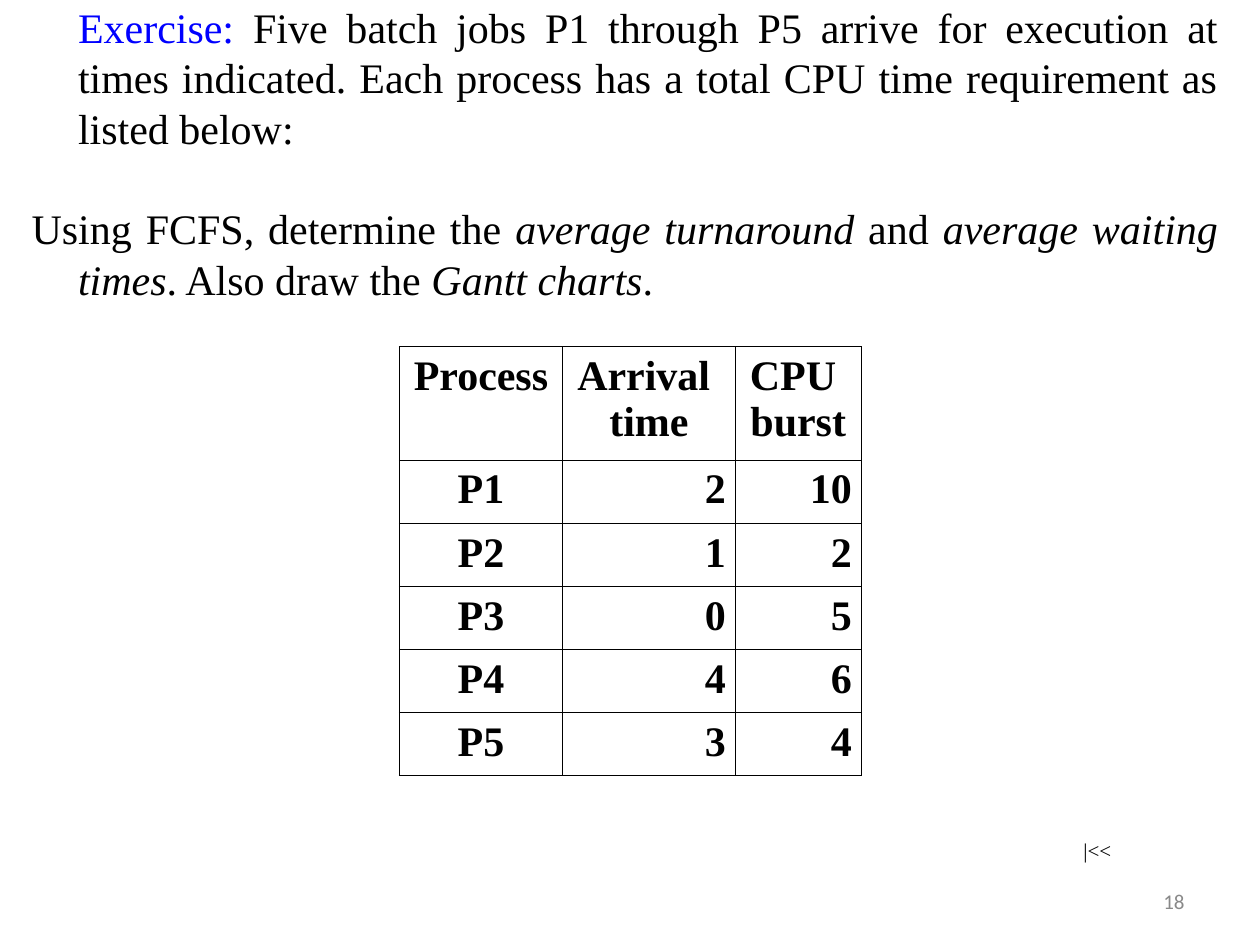
from pptx import Presentation
from pptx.dml.color import RGBColor
from pptx.enum import text
from pptx.oxml import parse_xml
from pptx.oxml.ns import nsdecls
from pptx.util import Pt

COLORS = {"ink": "000000", "accent": "0000FF", "muted": "898989"}
SERIF, SANS = "Times New Roman", "Calibri"
ALIGN = text.PP_ALIGN

EXERCISE = [
    [("Exercise: ", "accent", False),
     ("Five batch jobs P1 through P5 arrive for execution at times indicated. "
      "Each process has a total CPU time requirement as listed below:", "ink", False)],
    [("Using FCFS, determine the ", "ink", False),
     ("average turnaround", "ink", True),
     (" and ", "ink", False),
     ("average waiting times", "ink", True),
     (". Also draw the ", "ink", False),
     ("Gantt charts", "ink", True),
     (".", "ink", False)],
]
JOBS = [
    ("Process", "Arrival \ntime", "CPU \nburst"),
    ("P1", "2", "10"),
    ("P2", "1", "2"),
    ("P3", "0", "5"),
    ("P4", "4", "6"),
    ("P5", "3", "4"),
]
COLUMN_WIDTHS = (93.4, 98.6, 72)
HEADER_HEIGHT, ROW_HEIGHT = 65, 36
LINE_HEIGHT, HANGING = 28.8, 26.6


def style(font, size, color="ink", name=SERIF, bold=False, italic=False):
    font.size, font.name, font.bold, font.italic = Pt(size), name, bold, italic
    font.color.rgb = RGBColor.from_string(COLORS[color])


def add_box(slide, left, top, width, height, margins=(7.2, 3.6, 7.2, 3.6),
            anchor=text.MSO_ANCHOR.TOP, wrap=True):
    shape = slide.shapes.add_textbox(Pt(left), Pt(top), Pt(width), Pt(height))
    frame = shape.text_frame
    frame.word_wrap, frame.vertical_anchor = wrap, anchor
    (frame.margin_left, frame.margin_top,
     frame.margin_right, frame.margin_bottom) = map(Pt, margins)
    return frame


def add_label(frame, label, alignment, **font):
    frame.text = label
    paragraph = frame.paragraphs[0]
    paragraph.alignment = alignment
    style(paragraph.runs[0].font, 12, **font)
    return paragraph


def add_exercise(slide):
    frame = add_box(slide, 0, 0.7, 696, 172.8, (18, 0, 0, 0), text.MSO_ANCHOR.MIDDLE)
    for index, runs in enumerate(EXERCISE):
        paragraph = frame.add_paragraph() if index else frame.paragraphs[0]
        properties = paragraph._p.get_or_add_pPr()
        properties.set("marL", str(Pt(HANGING)))
        properties.set("indent", str(Pt(-HANGING if index else 0)))
        paragraph.alignment = ALIGN.JUSTIFY
        paragraph.line_spacing = Pt(LINE_HEIGHT)
        if index:
            paragraph.space_before = Pt(LINE_HEIGHT)
        for words, color, italic in runs:
            run = paragraph.add_run()
            run.text = words
            style(run.font, 24, color, italic=italic)


def format_cell(cell, alignment):
    cell.margin_left = cell.margin_right = Pt(5.4)
    cell.margin_top = cell.margin_bottom = Pt(3.6)
    for paragraph in cell.text_frame.paragraphs:
        paragraph.alignment = alignment
        for run in paragraph.runs:
            style(run.font, 24, bold=True)
    properties = cell._tc.get_or_add_tcPr()
    for side in ("lnL", "lnR", "lnT", "lnB"):
        properties.append(parse_xml(
            f'<a:{side} {nsdecls("a")} w="{Pt(0.45)}"><a:solidFill>'
            f'<a:srgbClr val="{COLORS["ink"]}"/></a:solidFill></a:{side}>'))
    cell.fill.background()


def add_jobs(slide):
    heights = [HEADER_HEIGHT] + [ROW_HEIGHT] * (len(JOBS) - 1)
    table = slide.shapes.add_table(
        len(JOBS), len(COLUMN_WIDTHS), Pt(228.2), Pt(198),
        Pt(sum(COLUMN_WIDTHS)), Pt(sum(heights))).table
    table.first_row = table.horz_banding = False
    for column, width in zip(table.columns, COLUMN_WIDTHS):
        column.width = Pt(width)
    for r, (values, height) in enumerate(zip(JOBS, heights)):
        table.rows[r].height = Pt(height)
        for c, value in enumerate(values):
            cell = table.cell(r, c)
            cell.text_frame.text = value
            format_cell(cell, ALIGN.RIGHT if r and c else ALIGN.CENTER)


def main():
    presentation = Presentation()
    presentation.slide_width, presentation.slide_height = Pt(720), Pt(540)
    slide = presentation.slides.add_slide(presentation.slide_layouts[6])
    number = add_box(slide, 516, 500.5, 168, 28.8, anchor=text.MSO_ANCHOR.MIDDLE)
    add_label(number, "18", ALIGN.RIGHT, color="muted", name=SANS)
    add_exercise(slide)
    add_jobs(slide)
    back = add_box(slide, 612, 468, 30.2, 28.8, wrap=False)
    add_label(back, "|<<", ALIGN.JUSTIFY).line_spacing = 1.5
    presentation.save("out.pptx")


if __name__ == "__main__":
    main()
